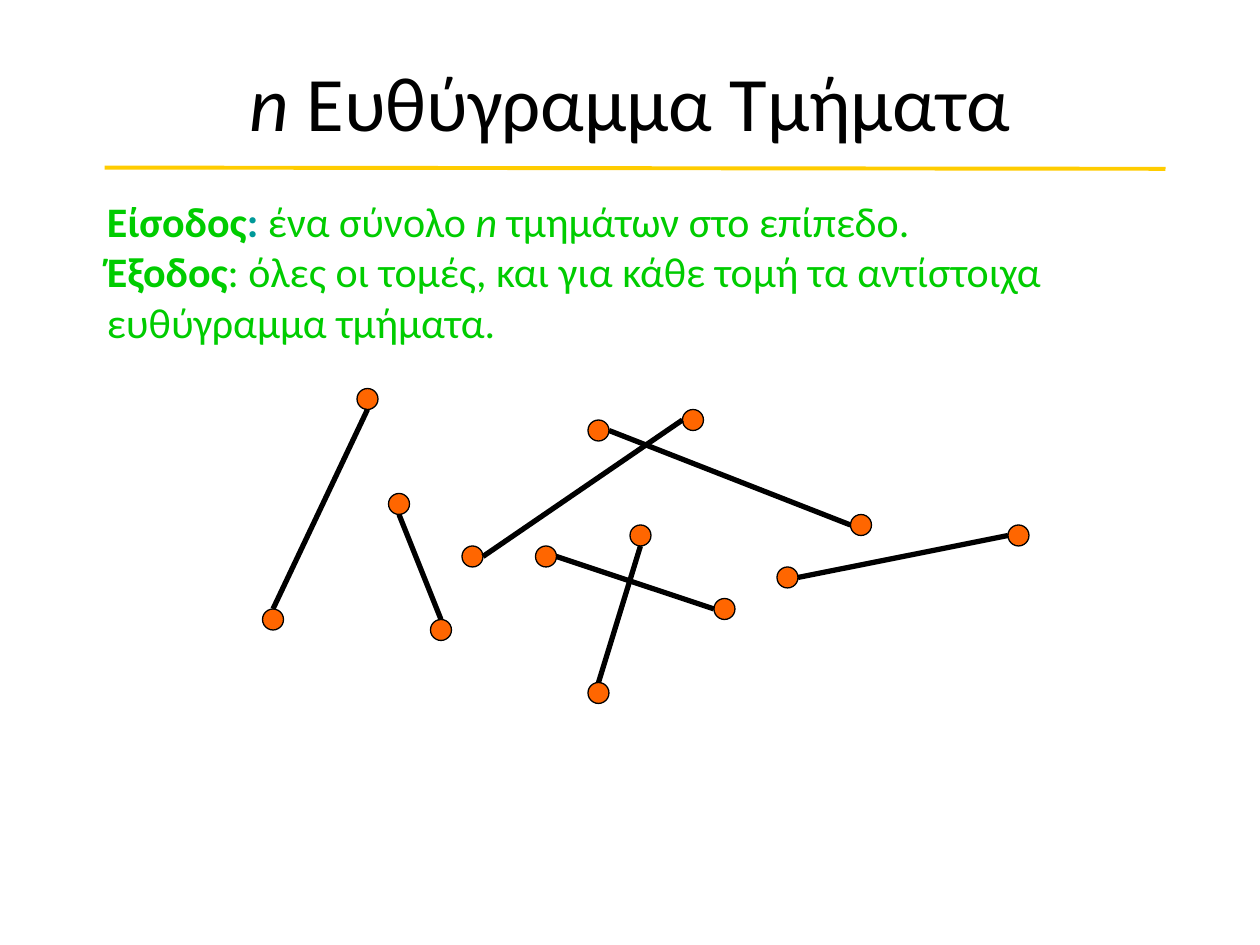
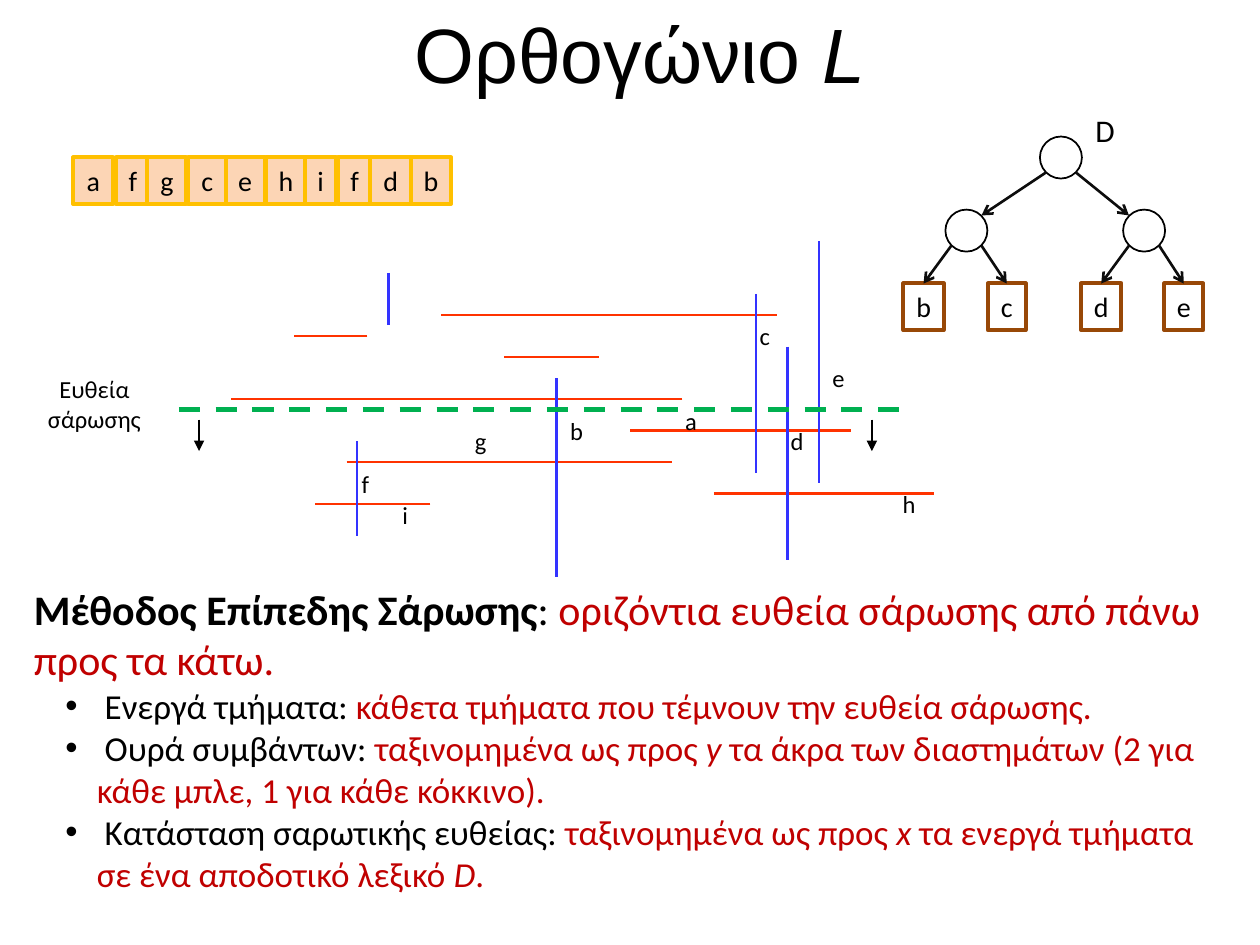
from lxml import etree
from pptx import Presentation
from pptx.dml.color import RGBColor
from pptx.enum.dml import MSO_LINE
from pptx.enum.shapes import MSO_CONNECTOR, MSO_SHAPE
from pptx.enum.text import MSO_ANCHOR, MSO_AUTO_SIZE, PP_ALIGN
from pptx.oxml.ns import qn
from pptx.util import Cm, Pt

BLACK, GREEN, TEAL, DARK_RED = "000000", "00CC00", "009999", "C00000"
YELLOW, ORANGE, RED, BLUE = "FFCC00", "FF6600", "FF3300", "3333FF"
SWEEP_GREEN, ARROW_GREY, BROWN = "00B050", "0D0D0D", "984807"
PEACH, AMBER = "FCD5B5", "FFC000"
GRID = 1 / 12  # the drawings sit on a grid of twelfths of an inch


def color(value):
    return RGBColor.from_string(value)


def length(inches):
    return Cm(inches * 2.54)


def lengths(*values):
    return [length(value) for value in values]


class Deck:
    """Holds the style and the slide, or group, that is being drawn."""

    font = "Calibri"

    def __init__(self):
        self.presentation = Presentation()
        self.presentation.slide_width, self.presentation.slide_height = lengths(10, 7.5)

    def new_slide(self):
        self.slide = self.presentation.slides.add_slide(self.presentation.slide_layouts[6])
        self.shapes = self.slide.shapes

    def enter_group(self):
        self.shapes = self.slide.shapes.add_group_shape().shapes

    def set_text(self, shape, paragraphs, size, align=None, anchor=MSO_ANCHOR.TOP,
                 wrap=True, grow=True, font=None):
        """Each paragraph is a list of runs: (text, color, "b" or "i")."""
        frame = shape.text_frame
        frame.word_wrap = wrap
        frame.vertical_anchor = anchor
        frame.auto_size = MSO_AUTO_SIZE.SHAPE_TO_FIT_TEXT if grow else MSO_AUTO_SIZE.NONE
        for index, runs in enumerate(paragraphs):
            paragraph = frame.paragraphs[0] if index == 0 else frame.add_paragraph()
            paragraph.alignment = align
            for text, text_color, *style in runs:
                run = paragraph.add_run()
                run.text = text
                formats = {"name": font or self.font, "size": Pt(size),
                           "bold": "b" in style, "italic": "i" in style}
                for name, value in formats.items():
                    setattr(run.font, name, value)
                run.font.color.rgb = color(text_color)
        return frame

    def text(self, box, paragraphs, size, **options):
        shape = self.shapes.add_textbox(*lengths(*box))
        return self.set_text(shape, paragraphs, size, **options)

    def title(self, box, runs, font=None):
        self.text(box, [runs], 44, align=PP_ALIGN.CENTER,
                  anchor=MSO_ANCHOR.MIDDLE, grow=False, font=font)

    def label(self, box, text, size=14, wrap=False):
        self.text(box, [[(text, BLACK)]], size, align=PP_ALIGN.CENTER, wrap=wrap)

    def bullet(self, paragraph, size):
        paragraph.level = 1
        for run in paragraph.runs:
            run.font.size = Pt(size)
        properties = paragraph._p.get_or_add_pPr()
        properties.set("marL", str(length(0.5)))
        properties.set("indent", str(length(-0.25)))
        etree.SubElement(properties, qn("a:buFont")).set("typeface", "Arial")
        etree.SubElement(properties, qn("a:buChar")).set("char", "•")

    def shape(self, kind, box, line, width, fill=None):
        shape = self.shapes.add_shape(kind, *lengths(*box))
        shape.shadow.inherit = False
        if fill:
            shape.fill.solid()
            shape.fill.fore_color.rgb = color(fill)
        else:
            shape.fill.background()
        shape.line.color.rgb = color(line)
        shape.line.width = Pt(width)
        return shape

    def circle(self, center, radius, width, fill=None):
        x, y = center
        box = (x - radius, y - radius, 2 * radius, 2 * radius)
        self.shape(MSO_SHAPE.OVAL, box, BLACK, width, fill)

    def cell(self, left, top, width, letter, line, fill=None):
        shape = self.shape(MSO_SHAPE.RECTANGLE, (left, top, width, 0.37), line, 2.25, fill)
        self.set_text(shape, [[(letter, BLACK)]], 16, align=PP_ALIGN.CENTER, wrap=False)

    def line(self, start, end, line_color, width, dash=None, arrow=None):
        connector = self.shapes.add_connector(MSO_CONNECTOR.STRAIGHT, *lengths(*start, *end))
        connector.line.color.rgb = color(line_color)
        connector.line.width = Pt(width)
        if dash:
            connector.line.dash_style = dash
        properties = connector._element.spPr
        if arrow:
            tail = etree.SubElement(properties.find(qn("a:ln")), qn("a:tailEnd"))
            tail.set("type", arrow)
        etree.SubElement(properties, qn("a:effectLst"))


deck = Deck()

# Slide 1: the problem
deck.new_slide()
deck.title((0.75, 0.17, 8.5, 1.25), [("n ", BLACK, "i"), ("Ευθύγραμμα Τμήματα", BLACK)])
deck.text((0.75, 1.5, 8.5, 1.31), [
    [("Είσοδος", GREEN, "b"), (": ", TEAL, "b"), ("ένα σύνολο ", GREEN),
     ("n ", GREEN, "i"), ("τμημάτων στο επίπεδο.", GREEN)],
    [("Έξοδος", GREEN, "b"),
     (": όλες οι τομές, και για κάθε τομή τα αντίστοιχα ευθύγραμμα τμήματα. ", GREEN)],
], 24)
deck.line((0.83, 1.33), (9.25, 1.34), YELLOW, 2.25)

# Segments by the grid centres of their end points; each line stops at the
# edge of its dots, one grid step along the given direction
DOWN, ACROSS = (0, 1), (1, 0)
segments = [
    ((35, 38), (26, 59), DOWN), ((38, 48), (42, 60), DOWN), ((61, 51), (57, 66), DOWN),
    ((52, 53), (69, 58), ACROSS), ((45, 53), (66, 40), ACROSS),
    ((57, 41), (82, 50), ACROSS), ((75, 55), (97, 51), ACROSS),
]
deck.enter_group()
for start, end, (step_x, step_y) in segments:
    for x, y in (start, end):
        deck.circle((x * GRID, y * GRID), GRID, 0.75, ORANGE)
    deck.line(((start[0] + step_x) * GRID, (start[1] + step_y) * GRID),
              ((end[0] - step_x) * GRID, (end[1] - step_y) * GRID), BLACK, 3)

# Slide 2: the plane sweep
deck.new_slide()
deck.title((0.83, 0, 8.5, 0.83), [("Ορθογώνιο ", BLACK), ("L", BLACK, "i")], font="Arial")
frame = deck.text((0.17, 4.58, 9.67, 2.59), [
    [("Μέθοδος Επίπεδης Σάρωσης", BLACK, "b"), (": ", BLACK),
     ("οριζόντια ευθεία σάρωσης από πάνω προς τα κάτω. ", DARK_RED)],
    [(" Ενεργά τμήματα: ", BLACK),
     ("κάθετα τμήματα που τέμνουν την ευθεία σάρωσης.", DARK_RED)],
    [(" Ουρά συμβάντων: ", BLACK), ("ταξινομημένα ως προς ", DARK_RED), ("y", DARK_RED, "i"),
     (" τα άκρα των διαστημάτων (2 για κάθε μπλε, 1 για κάθε κόκκινο).", DARK_RED)],
    [(" Κατάσταση σαρωτικής ευθείας: ", BLACK), ("ταξινομημένα ως προς ", DARK_RED),
     ("x", DARK_RED, "i"), (" τα ενεργά τμήματα σε ένα αποδοτικό λεξικό ", DARK_RED),
     ("D", DARK_RED, "i"), (". ", DARK_RED)],
], 24)
for paragraph in frame.paragraphs[1:]:
    deck.bullet(paragraph, 20)

# Horizontal segments (y, from x, to x) and vertical ones (x, from y, to y)
horizontals = [(30, 42, 74), (34, 48, 57), (44, 33, 64), (41, 60, 81),
               (38, 65, 22), (32, 35, 28), (48, 41, 30), (47, 68, 89)]
verticals = [(53, 36, 55), (37, 26, 31), (34, 42, 51),
             (72, 28, 45), (78, 23, 46), (75, 33, 53.3)]
for y, start, end in horizontals:
    deck.line((start * GRID, y * GRID), (end * GRID, y * GRID), RED, 1.5)
for x, start, end in verticals:
    deck.line((x * GRID, start * GRID), (x * GRID, end * GRID), BLUE, 1.5)

# Segment names
names = [("b", 4.42, 3.25, 0.31), ("a", 5.33, 3.17, 0.31), ("c", 5.92, 2.5, 0.3),
         ("d", 6.17, 3.33, 0.31), ("e", 6.5, 2.83, 0.31), ("f", 2.77, 3.67, 0.26),
         ("g", 3.67, 3.33, 0.29), ("h", 7.06, 3.83, 0.31), ("i", 3.09, 3.92, 0.25)]
for letter, left, top, width in names:
    deck.label((left, top, width, 0.33), letter, wrap=letter == "c")

# Sweep line
deck.label((0.25, 2.92, 1, 0.57), "Ευθεία σάρωσης", wrap=True)
deck.line((1.42, 3.25), (7.17, 3.25), SWEEP_GREEN, 3, dash=MSO_LINE.DASH)
for x in (1.58, 6.92):
    deck.line((x, 3.33), (x, 3.58), BLACK, 1.5, arrow="triangle")

# Search tree D: arrows touch the circles on their diagonals
radius, diagonal = 2 * GRID, 0.12
root = (8.42, 1.25)
leaf_top = 2.25
branches = [  # inner node, side of the root, leaves (letter, left, width)
    ((7.67, 1.83), -1, [("b", 7.17, 0.32), ("c", 7.84, 0.3)]),
    ((9.08, 1.83), 1, [("d", 8.58, 0.32), ("e", 9.24, 0.31)]),
]
deck.enter_group()
deck.circle(root, radius, 1)
deck.label((8.58, 0.83, 0.38, 0.4), "D", 18)
for (x, y), side, leaves in branches:
    deck.circle((x, y), radius, 1)
    deck.line((root[0] + side * diagonal, root[1] + diagonal),
              (x - side * diagonal, y - diagonal), ARROW_GREY, 1.5, arrow="arrow")
    for (letter, left, width), leaf_side in zip(leaves, (-1, 1)):
        deck.cell(left, leaf_top, width, letter, BROWN)
        deck.line((x + leaf_side * diagonal, y + diagonal),
                  (left + width / 2, leaf_top), ARROW_GREY, 1.5, arrow="arrow")

# Event queue: the cell width follows the letter
letter_widths = {"f": 0.27, "i": 0.25, "g": 0.31, "c": 0.31, "e": 0.31}
cell_lefts = (0.58, 0.92, 1.17, 1.49, 1.79, 2.11, 2.42, 2.68, 2.94, 3.26)
deck.enter_group()
for letter, left in zip("afgcehifdb", cell_lefts):
    deck.cell(left, 1.25, letter_widths.get(letter, 0.32), letter, AMBER, PEACH)

deck.presentation.save("out.pptx")
